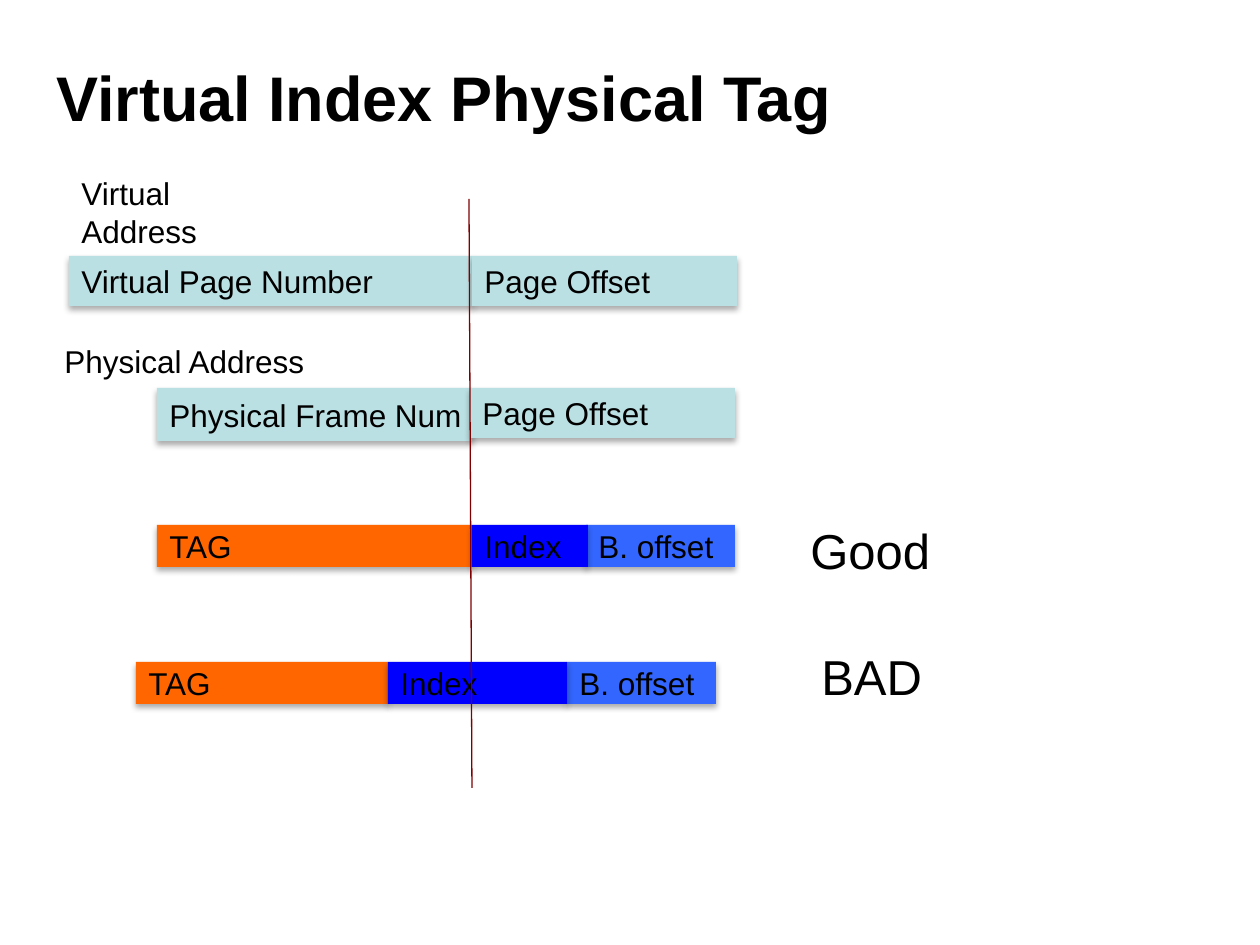
from lxml.etree import SubElement
from pptx import Presentation
from pptx.dml.color import RGBColor
from pptx.enum.shapes import MSO_CONNECTOR as CONN, MSO_SHAPE as SHAPE
from pptx.enum.text import MSO_ANCHOR as ANCHOR, PP_ALIGN as ALIGN
from pptx.oxml.ns import qn
from pptx.util import Emu, Pt

SCALE = 914400 / 126
FONT = "Arial"
BLACK = RGBColor(0x00, 0x00, 0x00)
PALE = RGBColor(0xBB, 0xE0, 0xE3)
ORANGE = RGBColor(0xFF, 0x66, 0x00)
BLUE = RGBColor(0x00, 0x00, 0xFF)
LIGHT_BLUE = RGBColor(0x33, 0x66, 0xFF)
MAROON = RGBColor(0x80, 0x00, 0x00)


def px(n):
    return Emu(round(n * SCALE))


def set_text(sp, text, size, anchor, bold=False):
    tf = sp.text_frame
    tf.text = text
    tf.word_wrap = True
    tf.vertical_anchor = anchor
    p = tf.paragraphs[0]
    p.alignment = ALIGN.LEFT
    font = p.runs[0].font
    font.name = FONT
    font.size = Pt(size)
    font.bold = bold
    font.color.rgb = BLACK


def add_label(s, text, x, y, w, h, size=18, anchor=ANCHOR.TOP, bold=False):
    sp = s.shapes.add_textbox(px(x), px(y), px(w), px(h))
    set_text(sp, text, size, anchor, bold)


def add_shadow(sp):
    sp.shadow.inherit = False
    effects = sp.element.spPr.find(qn("a:effectLst"))
    shadow = SubElement(effects, qn("a:outerShdw"), blurRad=str(Pt(3.5)),
                        dist=str(Pt(2.2)), dir="5400000", rotWithShape="0")
    color = SubElement(shadow, qn("a:srgbClr"), val=str(BLACK))
    SubElement(color, qn("a:alpha"), val="32000")


def add_field(s, text, x, y, w, h, fill):
    sp = s.shapes.add_shape(SHAPE.RECTANGLE, px(x), px(y), px(w), px(h))
    sp.fill.solid()
    sp.fill.fore_color.rgb = fill
    sp.line.fill.background()
    add_shadow(sp)
    set_text(sp, text, 18, ANCHOR.MIDDLE)
    sp.text_frame.margin_right = 0


def add_cache_row(s, y, tag_x, index_x, offset_x, index_w):
    add_field(s, "TAG", tag_x, y, index_x - tag_x, 42, ORANGE)
    add_field(s, "B. offset", offset_x, y, 149, 42, LIGHT_BLUE)
    add_field(s, "Index", index_x, y, index_w, 42, BLUE)


def add_boundary(s, x1, y1, x2, y2):
    line = s.shapes.add_connector(CONN.STRAIGHT, px(x1), px(y1), px(x2), px(y2))
    line.line.color.rgb = MAROON
    line.line.width = Pt(0.75)
    SubElement(line.element.spPr, qn("a:effectLst"))


def main():
    prs = Presentation()
    prs.slide_width, prs.slide_height = px(1260), px(945)
    s = prs.slides.add_slide(prs.slide_layouts[6])

    add_label(s, "Virtual Index Physical Tag", 44, 44, 1134, 105, 36, ANCHOR.MIDDLE, True)
    add_label(s, "Virtual Address", 69, 168, 218, 50)
    add_field(s, "Virtual Page Number", 69, 256, 403, 50, PALE)
    add_field(s, "Page Offset", 472, 256, 265, 50, PALE)
    add_field(s, "Physical Frame Num", 157, 388, 315, 53, PALE)
    add_field(s, "Page Offset", 470, 388, 265, 50, PALE)
    add_label(s, "Physical Address", 52, 336, 268, 50)
    add_cache_row(s, 525, 157, 472, 586, 116)
    add_cache_row(s, 662, 136, 388, 567, 179)
    add_boundary(s, 469, 199, 472, 788)
    add_label(s, "Good", 798, 514, 147, 72, 28)
    add_label(s, "BAD", 809, 640, 128, 72, 28)

    prs.save("out.pptx")


if __name__ == "__main__":
    main()
